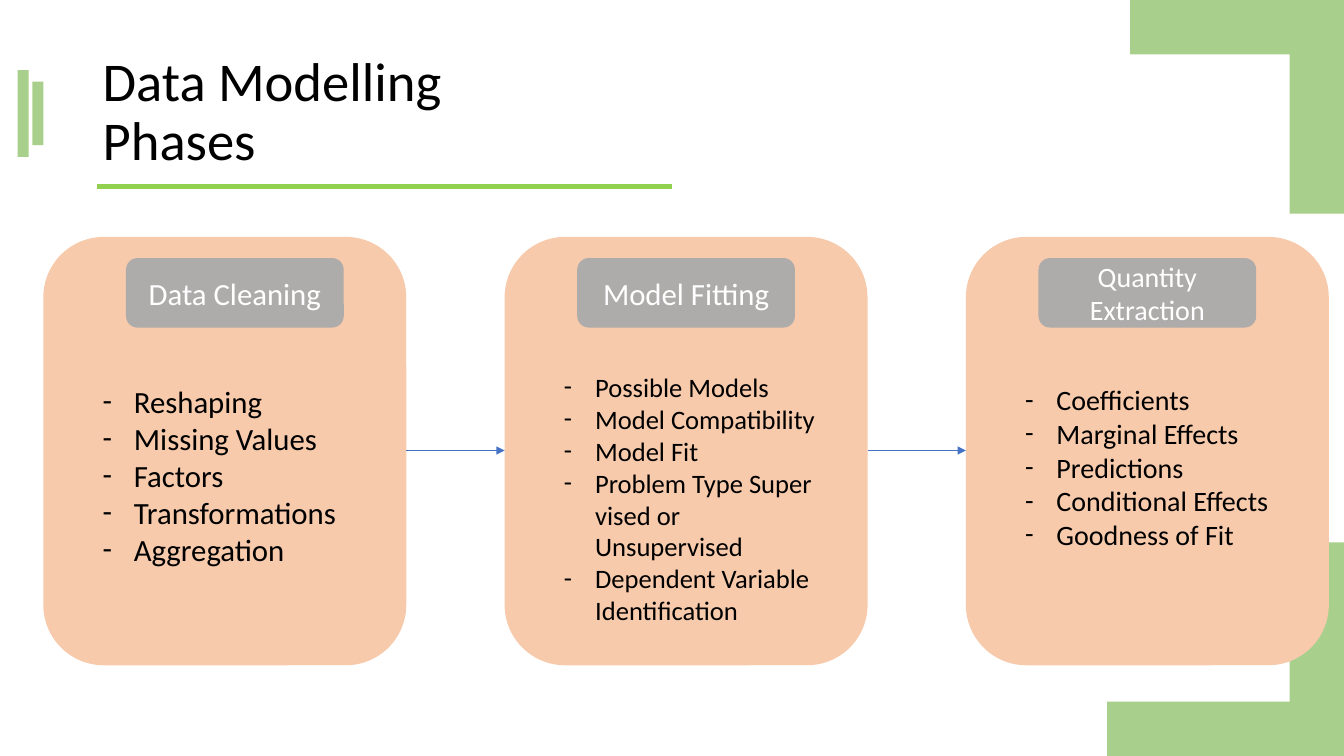
from dataclasses import dataclass

from lxml.etree import SubElement
from pptx import Presentation
from pptx.dml.color import RGBColor
from pptx.enum.shapes import MSO_CONNECTOR as CONNECTOR, MSO_SHAPE as SHAPE
from pptx.enum.text import MSO_ANCHOR as ANCHOR, PP_ALIGN as ALIGN
from pptx.oxml.ns import qn
from pptx.shapes.autoshape import Shape
from pptx.slide import Slide
from pptx.text.text import _Paragraph as Paragraph
from pptx.util import Inches, Pt

BLACK = RGBColor(0x00, 0x00, 0x00)
WHITE = RGBColor(0xFF, 0xFF, 0xFF)
PEACH = RGBColor(0xF7, 0xCA, 0xAC)
GRAY = RGBColor(0xAE, 0xAB, 0xAB)
GREEN = RGBColor(0xA8, 0xD0, 0x8C)
LIME = RGBColor(0x92, 0xD0, 0x50)
BLUE = RGBColor(0x44, 0x72, 0xC4)

FONT = "Calibri"
CARD_LEFT, CARD_TOP, CARD_W, CARD_H = 0.43, 2.35, 3.6, 4.25
CARD_PITCH = 4.575
ARROW_Y = 4.47


@dataclass
class Phase:
    name: str
    name_size: int
    steps: list[str]
    step_size: int
    steps_top: float
    steps_height: float
    label_offset: float = 0.72


@dataclass
class Bar:
    left: float
    top: float
    width: float
    height: float
    rotation: int = 0


PHASES = [
    Phase("Data Cleaning", 22,
          ["Reshaping", "Missing Values", "Factors", "Transformations", "Aggregation"],
          22, 3.75, 1.95, label_offset=0.82),
    Phase("Model Fitting", 22,
          ["Possible Models", "Model Compatibility", "Model Fit",
           "Problem Type Super vised or Unsupervised",
           "Dependent Variable Identification"],
          19, 3.63, 2.66),
    Phase("Quantity Extraction", 20,
          ["Coefficients", "Marginal Effects", "Predictions",
           "Conditional Effects", "Goodness of Fit"],
          20, 3.75, 1.78),
]

BARS = [
    Bar(11.21, 0, 2.12, 0.54),
    Bar(12, 0.79, 2.12, 0.54, 90),
    Bar(10.98, 6.96, 2.12, 0.54),
    Bar(12, 6.17, 2.12, 0.54, 90),
    Bar(-0.2, 1.07, 0.86, 0.11, 270),
    Bar(0.06, 1.07, 0.63, 0.11, 270),
]


def add_block(slide: Slide, kind: SHAPE, left: float, top: float,
              width: float, height: float, color: RGBColor) -> Shape:
    sp = slide.shapes.add_shape(kind, Inches(left), Inches(top),
                                Inches(width), Inches(height))
    sp.shadow.inherit = False
    sp.fill.solid()
    sp.fill.fore_color.rgb = color
    sp.line.fill.background()
    return sp


def add_run(p: Paragraph, text: str, size: int, color: RGBColor) -> None:
    r = p.add_run()
    r.text = text
    r.font.name = FONT
    r.font.size = Pt(size)
    r.font.color.rgb = color


def add_line(slide: Slide, x1: float, x2: float, y: float,
             color: RGBColor, width: float, arrow: bool = False) -> None:
    cxn = slide.shapes.add_connector(CONNECTOR.STRAIGHT, Inches(x1), Inches(y),
                                     Inches(x2), Inches(y))
    cxn.line.color.rgb = color
    cxn.line.width = Pt(width)
    if arrow:
        SubElement(cxn.line._get_or_add_ln(), qn("a:tailEnd"), type="triangle")
    SubElement(cxn._element.spPr, qn("a:effectLst"))


def set_dash_bullet(p: Paragraph) -> None:
    pPr = p._p.get_or_add_pPr()
    pPr.set("marL", str(Inches(0.31)))
    pPr.set("indent", str(-Inches(0.31)))
    color = SubElement(pPr, qn("a:buClr"))
    SubElement(color, qn("a:srgbClr"), val=str(BLACK))
    SubElement(pPr, qn("a:buFont"), typeface=FONT)
    SubElement(pPr, qn("a:buChar"), char="-")


def add_title(slide: Slide, text: str) -> None:
    box = slide.shapes.add_textbox(Inches(0.92), Inches(0.4), Inches(4.57), Inches(1.45))
    tf = box.text_frame
    tf.word_wrap = True
    tf.vertical_anchor = ANCHOR.MIDDLE
    p = tf.paragraphs[0]
    p.line_spacing = 0.9
    add_run(p, text, 39, BLACK)
    add_line(slide, 0.96, 6.67, 1.85, LIME, 3)


def add_phase(slide: Slide, phase: Phase, left: float) -> None:
    add_block(slide, SHAPE.ROUNDED_RECTANGLE, left, CARD_TOP, CARD_W, CARD_H, PEACH)

    label = add_block(slide, SHAPE.ROUNDED_RECTANGLE, left + phase.label_offset,
                      CARD_TOP + 0.21, 2.16, 0.69, GRAY)
    tf = label.text_frame
    tf.word_wrap = True
    tf.vertical_anchor = ANCHOR.MIDDLE
    tf.paragraphs[0].alignment = ALIGN.CENTER
    add_run(tf.paragraphs[0], phase.name, phase.name_size, WHITE)

    box = slide.shapes.add_textbox(Inches(left + 0.49), Inches(phase.steps_top),
                                   Inches(2.82), Inches(phase.steps_height))
    tf = box.text_frame
    tf.word_wrap = True
    for i, step in enumerate(phase.steps):
        p = tf.add_paragraph() if i else tf.paragraphs[0]
        set_dash_bullet(p)
        add_run(p, step, phase.step_size, BLACK)


def main() -> None:
    prs = Presentation()
    prs.slide_width, prs.slide_height = Inches(13.33), Inches(7.5)
    slide = prs.slides.add_slide(prs.slide_layouts[6])

    add_title(slide, "Data Modelling Phases")
    for bar in BARS:
        sp = add_block(slide, SHAPE.RECTANGLE, bar.left, bar.top,
                       bar.width, bar.height, GREEN)
        sp.rotation = bar.rotation
    for i, phase in enumerate(PHASES):
        left = CARD_LEFT + i * CARD_PITCH
        add_phase(slide, phase, left)
        if i:
            add_line(slide, left - CARD_PITCH + CARD_W, left, ARROW_Y, BLUE, 0.75, arrow=True)

    prs.save("out.pptx")


if __name__ == "__main__":
    main()
